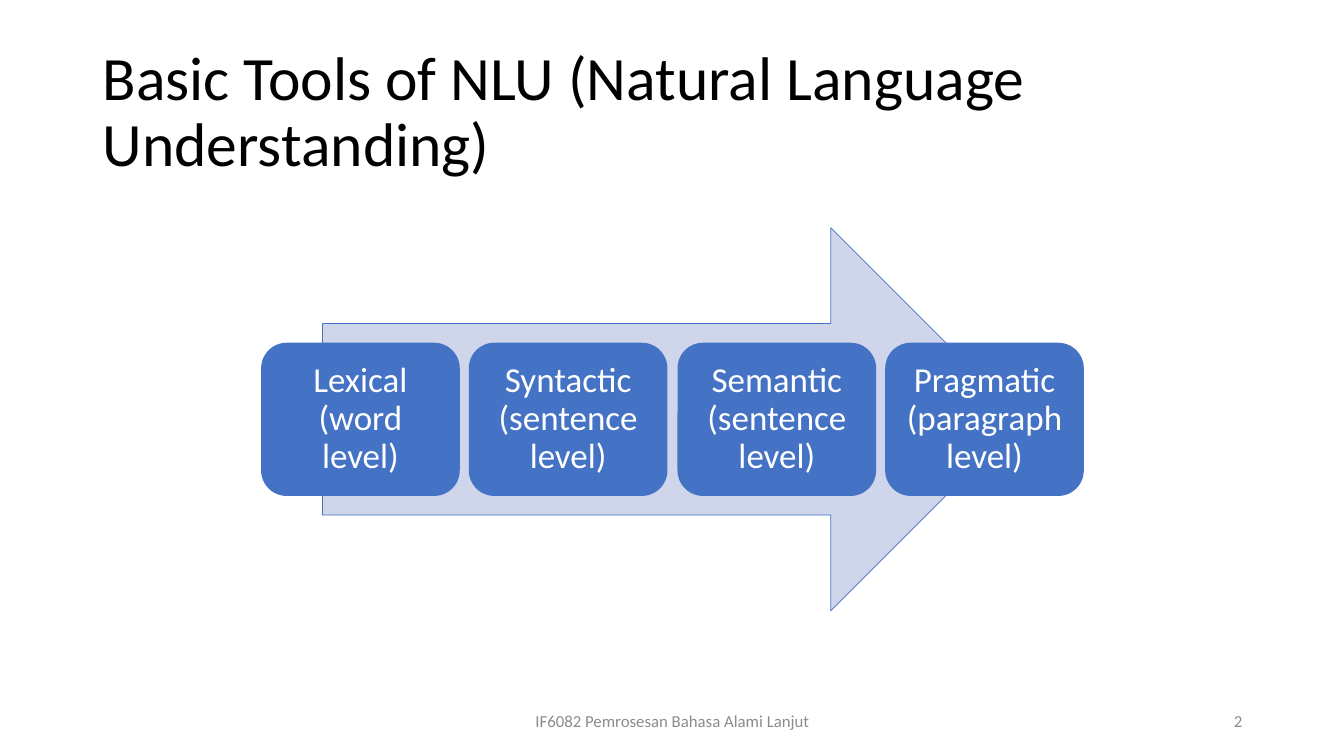
"""Build the slide on the basic tools of natural language understanding."""
from pptx import Presentation
from pptx.dml.color import RGBColor
from pptx.enum.shapes import MSO_SHAPE as SHAPE
from pptx.enum.text import MSO_ANCHOR as ANCHOR, PP_ALIGN as ALIGN
from pptx.util import Pt

PX = 9144
BLUE, PALE, WHITE, BLACK, GRAY = "4472C4", "CFD5EA", "FFFFFF", "000000", "8C8C8C"


def rgb(value):
    return RGBColor.from_string(value)


def write(sp, text, size, color, align, spacing=1.0, side=10, edge=5):
    tf = sp.text_frame
    frame = {"word_wrap": True, "vertical_anchor": ANCHOR.MIDDLE,
             "margin_left": side * PX, "margin_right": side * PX,
             "margin_top": edge * PX, "margin_bottom": edge * PX}
    for name, value in frame.items():
        setattr(tf, name, value)
    p = tf.paragraphs[0]
    p.alignment, p.line_spacing = align, spacing
    r = p.add_run()
    r.text = text
    for name, value in {"name": "Calibri", "size": Pt(size)}.items():
        setattr(r.font, name, value)
    r.font.color.rgb = rgb(color)


prs = Presentation()
prs.slide_width, prs.slide_height = 1333 * PX, 750 * PX
s = prs.slides.add_slide(prs.slide_layouts[6])

texts = [
    ((92, 40, 1150, 145), "Basic Tools of NLU (Natural Language Understanding)",
     44, BLACK, ALIGN.LEFT, 0.9),
    ((442, 695, 450, 40), "IF6082 Pemrosesan Bahasa Alami Lanjut",
     12, GRAY, ALIGN.CENTER, 1.0),
    ((942, 695, 300, 40), "2", 12, GRAY, ALIGN.RIGHT, 1.0),
]
for box, *style in texts:
    write(s.shapes.add_textbox(*(n * PX for n in box)), *style)

arrow = s.shapes.add_shape(SHAPE.RIGHT_ARROW, 320 * PX, 226 * PX, 694 * PX, 380 * PX)
arrow.shadow.inherit = False
arrow.fill.solid()
arrow.fill.fore_color.rgb = rgb(PALE)
arrow.line.color.rgb = rgb(BLUE)
arrow.line.width = Pt(0.5)

levels = ["Lexical (word level)", "Syntactic (sentence level)",
          "Semantic (sentence level)", "Pragmatic (paragraph level)"]
first, last = 259, 878
for i, level in enumerate(levels):
    left = first + round(i * (last - first) / (len(levels) - 1))
    sp = s.shapes.add_shape(SHAPE.ROUNDED_RECTANGLE, left * PX, 340 * PX, 197 * PX, 152 * PX)
    sp.shadow.inherit = False
    sp.fill.solid()
    sp.fill.fore_color.rgb = rgb(BLUE)
    sp.line.fill.background()
    write(sp, level, 25, WHITE, ALIGN.CENTER, 0.9, edge=10)

prs.save("out.pptx")
